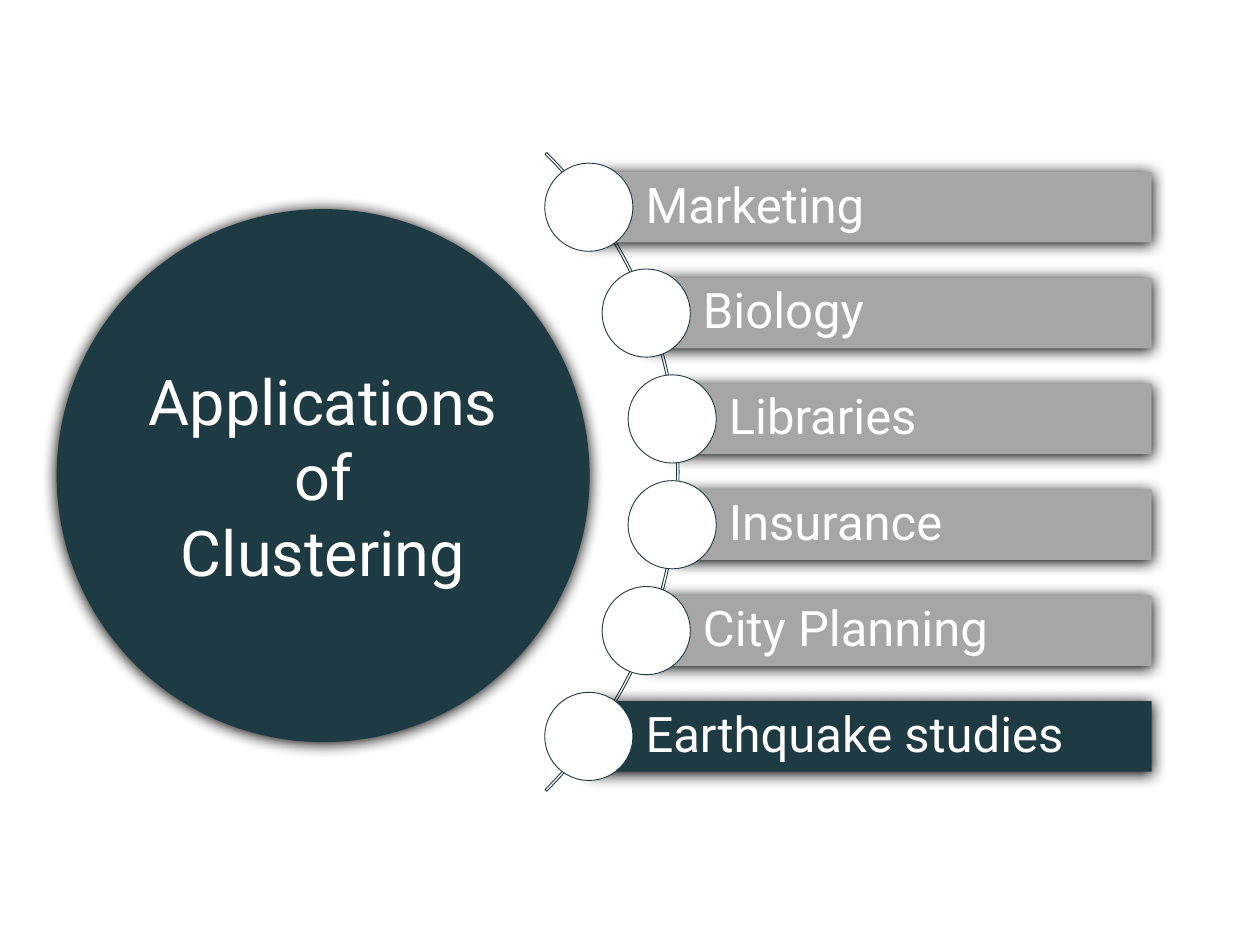
from math import sqrt

from lxml.etree import SubElement
from pptx import Presentation
from pptx.dml.color import RGBColor
from pptx.enum.shapes import MSO_SHAPE as SHAPE
from pptx.enum.text import MSO_ANCHOR as ANCHOR, PP_ALIGN as ALIGN
from pptx.oxml.ns import qn
from pptx.util import Inches, Pt

COLORS = {"dark": "1E3A42", "gray": "A6A6A6", "white": "FFFFFF", "black": "000000"}
APPLICATIONS = ["Marketing", "Biology", "Libraries", "Insurance",
                "City Planning", "Earthquake studies"]


def color(name):
    return RGBColor.from_string(COLORS[name])


def add_shadow(sp):
    effects = sp._element.spPr.find(qn("a:effectLst"))
    outer = SubElement(effects, qn("a:outerShdw"), blurRad=str(Pt(8.5)),
                       dist=str(Pt(1)), dir="5400000", algn="ctr", rotWithShape="0")
    SubElement(outer, qn("a:srgbClr"), val=COLORS["black"])


def add_shape(s, kind, x, y, w, h, fill=None, line=None, shadow=False):
    sp = s.shapes.add_shape(kind, Inches(x), Inches(y), Inches(w), Inches(h))
    if fill:
        sp.fill.solid()
        sp.fill.fore_color.rgb = color(fill)
    else:
        sp.fill.background()
    if line:
        sp.line.color.rgb = color(line)
        sp.line.width = Pt(0.5)
    else:
        sp.line.fill.background()
    sp.shadow.inherit = False
    if shadow:
        add_shadow(sp)
    return sp


def set_text(sp, text, size, align=ALIGN.LEFT, spacing=1.0, insets=None):
    tf = sp.text_frame
    tf.word_wrap = True
    tf.vertical_anchor = ANCHOR.MIDDLE
    if insets:
        tf.margin_left, tf.margin_top, tf.margin_right, tf.margin_bottom = map(Inches, insets)
    p = tf.paragraphs[0]
    p.alignment = align
    p.line_spacing = spacing
    r = p.add_run()
    r.text = text
    r.font.size = Pt(size)
    r.font.name = "Roboto"
    r.font.color.rgb = color("white")


def add_title_circle(s, x, y, size):
    sp = add_shape(s, SHAPE.OVAL, x, y, size, size, fill="dark", shadow=True)
    set_text(sp, "Applications of Clustering", 36, align=ALIGN.CENTER)


def add_arc_list(s, x, y, size, right, items):
    arc = add_shape(s, SHAPE.BLOCK_ARC, x, y, size, size, line="dark")
    arc.adjustments[0] = 189
    arc.adjustments[1] = 27
    arc.adjustments[2] = 0.02 / size

    pitch, bar_h, node = 0.84, 0.56, 0.7
    center_x, center_y = x + size / 2, y + size / 2
    radius = size / 2 - 0.03
    for i, item in enumerate(items):
        dy = (i - (len(items) - 1) / 2) * pitch
        node_x = center_x + sqrt(radius ** 2 - dy ** 2)
        node_y = center_y + dy
        fill = "dark" if i == len(items) - 1 else "gray"
        bar = add_shape(s, SHAPE.RECTANGLE, node_x, node_y - bar_h / 2,
                        right - node_x, bar_h, fill=fill, shadow=True)
        set_text(bar, item, 28, spacing=0.9, insets=(0.45, 0.08, 0.08, 0.08))
        add_shape(s, SHAPE.OVAL, node_x - node / 2, node_y - node / 2,
                  node, node, fill="white", line="dark")


def main():
    prs = Presentation()
    prs.slide_width, prs.slide_height = Inches(10), Inches(7.5)
    s = prs.slides.add_slide(prs.slide_layouts[6])
    add_arc_list(s, -1.78, 0.16, 7.17, 9.14, APPLICATIONS)
    add_title_circle(s, 0.45, 1.66, 4.23)
    prs.save("out.pptx")


if __name__ == "__main__":
    main()
